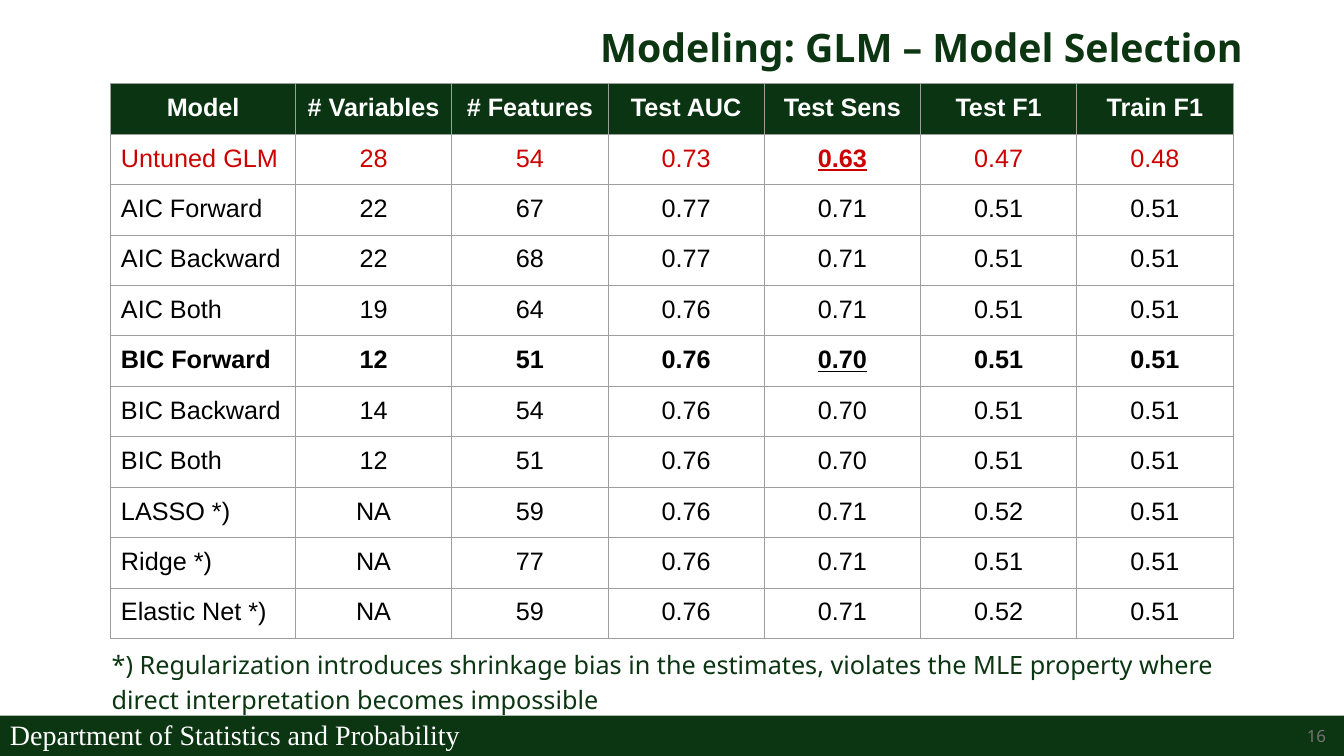
import lxml.etree
import pptx
import pptx.dml.color
import pptx.enum.shapes
import pptx.enum.text
import pptx.oxml.ns
import pptx.util

EMU_PER_PX = 9144  # 100 px to the inch
COLORS = {
    "green": "0C3512", "header": "0B3512", "white": "FFFFFF", "black": "000000",
    "red": "CC0000", "gray": "757575", "border": "9E9E9E",
}
ALIGN = pptx.enum.text.PP_ALIGN
ANCHOR = pptx.enum.text.MSO_ANCHOR

HEADINGS = ["Model", "# Variables", "# Features", "Test AUC", "Test Sens", "Test F1", "Train F1"]
MODELS = [
    ["Untuned GLM", "28", "54", "0.73", "0.63", "0.47", "0.48"],
    ["AIC Forward", "22", "67", "0.77", "0.71", "0.51", "0.51"],
    ["AIC Backward", "22", "68", "0.77", "0.71", "0.51", "0.51"],
    ["AIC Both", "19", "64", "0.76", "0.71", "0.51", "0.51"],
    ["BIC Forward", "12", "51", "0.76", "0.70", "0.51", "0.51"],
    ["BIC Backward", "14", "54", "0.76", "0.70", "0.51", "0.51"],
    ["BIC Both", "12", "51", "0.76", "0.70", "0.51", "0.51"],
    ["LASSO *)", "NA", "59", "0.76", "0.71", "0.52", "0.51"],
    ["Ridge *)", "NA", "77", "0.76", "0.71", "0.51", "0.51"],
    ["Elastic Net *)", "NA", "59", "0.76", "0.71", "0.52", "0.51"],
]
BASELINE, CHOSEN = "Untuned GLM", "BIC Forward"
SENSITIVITY = HEADINGS.index("Test Sens")
MODEL_WIDTH, METRIC_WIDTH, ROW_HEIGHT = 183, 155, 42


def px(length):
    return pptx.util.Emu(length * EMU_PER_PX)


def rgb(name):
    return pptx.dml.color.RGBColor.from_string(COLORS[name])


def set_all(target, values):
    for name, value in values.items():
        setattr(target, name, value)


def write(frame, text, color, font, align=ALIGN.LEFT, spacing=1.0):
    para = frame.paragraphs[0]
    set_all(para, {"alignment": align, "line_spacing": spacing})
    span = para.add_run()
    span.text = text
    set_all(span.font, font)
    span.font.color.rgb = rgb(color)


def add_text(page, place, text, color, font, frame_format, **para_format):
    box = page.shapes.add_textbox(*map(px, place))
    set_all(box.text_frame, {"word_wrap": True, **frame_format})
    write(box.text_frame, text, color, font, **para_format)


def add_footer_bar(page, place, text):
    bar = page.shapes.add_shape(pptx.enum.shapes.MSO_SHAPE.RECTANGLE, *map(px, place))
    bar.shadow.inherit = False
    bar.fill.solid()
    bar.fill.fore_color.rgb = rgb("green")
    bar.line.fill.background()
    set_all(bar.text_frame, {"word_wrap": True, "vertical_anchor": ANCHOR.BOTTOM})
    write(bar.text_frame, text, "white", {"name": "Times New Roman", "size": pptx.util.Pt(20)})


def add_borders(cell):
    properties = cell._tc.get_or_add_tcPr()
    for side in ("a:lnL", "a:lnR", "a:lnT", "a:lnB"):
        line = lxml.etree.SubElement(properties, pptx.oxml.ns.qn(side), w=str(pptx.util.Pt(0.75)))
        fill = lxml.etree.SubElement(line, pptx.oxml.ns.qn("a:solidFill"))
        lxml.etree.SubElement(fill, pptx.oxml.ns.qn("a:srgbClr"), val=COLORS["border"])


def fill_cell(cell, text, column, model):
    is_header = model == HEADINGS[0]
    set_all(cell, {"margin_top": px(10), "margin_bottom": px(10)})
    add_borders(cell)
    if is_header:
        cell.fill.solid()
        cell.fill.fore_color.rgb = rgb("header")
    else:
        cell.fill.background()
    compared = column == SENSITIVITY and model in (BASELINE, CHOSEN)
    color = {HEADINGS[0]: "white", BASELINE: "red"}.get(model, "black")
    font = {
        "name": "Arial", "size": pptx.util.Pt(18),
        "bold": is_header or model == CHOSEN or compared, "underline": compared,
    }
    align = ALIGN.LEFT if column == 0 and not is_header else ALIGN.CENTER
    write(cell.text_frame, text, color, font, align)


def add_model_table(page, left, top):
    rows = [HEADINGS] + MODELS
    widths = [MODEL_WIDTH] + [METRIC_WIDTH] * (len(HEADINGS) - 1)
    size = (sum(widths), ROW_HEIGHT * len(rows))
    table = page.shapes.add_table(len(rows), len(widths), *map(px, (left, top, *size))).table
    table.horz_banding = False
    for column, width in zip(table.columns, widths):
        column.width = px(width)
    for row_index, values in enumerate(rows):
        table.rows[row_index].height = px(ROW_HEIGHT)
        for column, text in enumerate(values):
            fill_cell(table.cell(row_index, column), text, column, values[0])


def main():
    deck = pptx.Presentation()
    set_all(deck, {"slide_width": px(1333), "slide_height": px(750)})
    page = deck.slides.add_slide(deck.slide_layouts[6])

    # Footer and title
    add_footer_bar(page, (0, 710, 1333, 40), "Department of Statistics and Probability")
    add_text(page, (440, 7, 802, 84), "Modeling: GLM – Model Selection", "green",
             {"name": "Noto Sans", "size": pptx.util.Pt(28), "bold": True},
             {"vertical_anchor": ANCHOR.MIDDLE}, align=ALIGN.RIGHT, spacing=0.9)
    add_text(page, (1178, 710, 147, 40), "16", "gray",
             {"name": "Noto Sans", "size": pptx.util.Pt(12)},
             {"vertical_anchor": ANCHOR.MIDDLE}, align=ALIGN.RIGHT)

    # Model comparison
    add_model_table(page, 110, 83)

    # Footnote
    add_text(page, (101, 630, 1132, 85),
             "*) Regularization introduces shrinkage bias in the estimates, violates the MLE "
             "property where direct interpretation becomes impossible", "green",
             {"name": "Noto Sans", "size": pptx.util.Pt(18)},
             {"margin_top": px(10), "margin_bottom": px(10),
              "auto_size": pptx.enum.text.MSO_AUTO_SIZE.SHAPE_TO_FIT_TEXT}, spacing=1.15)

    deck.save("out.pptx")


if __name__ == "__main__":
    main()
